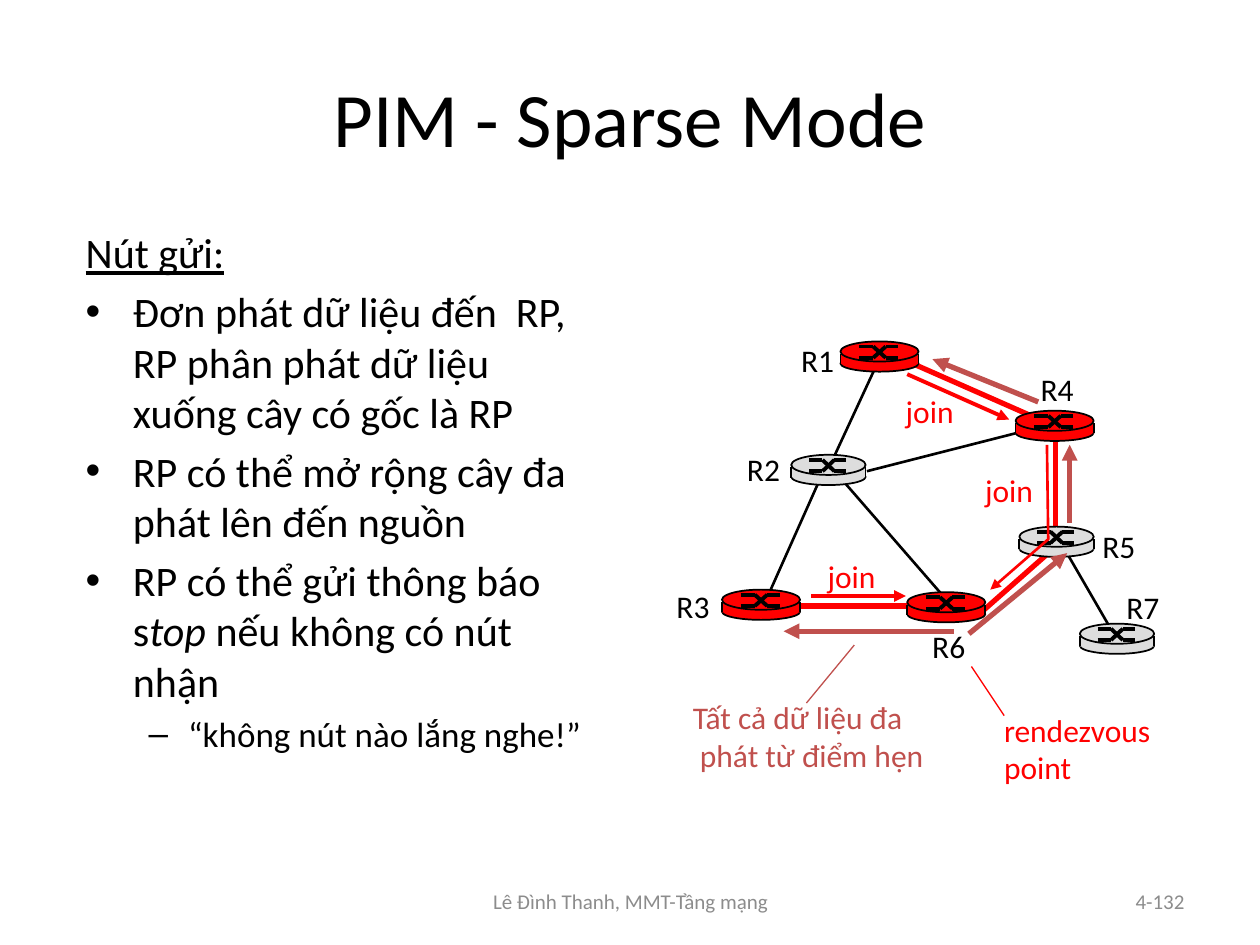
"""Build a slide on PIM Sparse Mode with a router network diagram."""
from dataclasses import dataclass

from lxml.etree import SubElement
from pptx import Presentation
from pptx.dml.color import RGBColor
from pptx.enum.shapes import MSO_CONNECTOR as Connector, MSO_SHAPE as Preset
from pptx.enum.text import MSO_ANCHOR as Anchor, MSO_AUTO_SIZE as AutoSize, PP_ALIGN as Align
from pptx.oxml.ns import qn
from pptx.util import Inches, Pt


@dataclass(frozen=True)
class Theme:
    font: str = "Calibri"
    black: RGBColor = RGBColor(0, 0, 0)
    red: RGBColor = RGBColor(0xFF, 0, 0)
    brick: RGBColor = RGBColor(0xC0, 0x50, 0x4D)
    silver: RGBColor = RGBColor(0xDD, 0xDD, 0xDD)
    gray: RGBColor = RGBColor(0x8C, 0x8C, 0x8C)
    title: Pt = Pt(44)
    body: Pt = Pt(24)
    detail: Pt = Pt(20)
    label: Pt = Pt(18)
    footer: Pt = Pt(12)


theme = Theme()


def format_text(text_frame, size, color):
    for paragraph in text_frame.paragraphs:
        for run in paragraph.runs:
            run.font.name = theme.font
            run.font.size = size
            run.font.color.rgb = color


def draw_line(shapes, points, color, width, arrow=False):
    corners = [(Inches(x), Inches(y)) for x, y in points]
    if len(corners) == 2:
        line = shapes.add_connector(Connector.STRAIGHT, *corners[0], *corners[1])
    else:
        builder = shapes.build_freeform(*corners[0])
        builder.add_line_segments(corners[1:], close=False)
        line = builder.convert_to_shape()
        line.fill.background()
    line.line.color.rgb = color
    line.line.width = Pt(width)
    properties = line.element.spPr
    if arrow:
        SubElement(properties.find(qn("a:ln")), qn("a:tailEnd"), type="triangle")
    SubElement(properties, qn("a:effectLst"))


presentation = Presentation()
presentation.slide_width = Inches(10)
presentation.slide_height = Inches(7.5)
slide = presentation.slides.add_slide(presentation.slide_layouts[1])

title = slide.shapes.title
title.left, title.top, title.width, title.height = map(Inches, (0.5, 0.3, 9, 1.25))
title.text_frame.text = "PIM - Sparse Mode"
format_text(title.text_frame, theme.title, theme.black)

body = slide.placeholders[1]
body.left, body.top, body.width, body.height = map(Inches, (0.58, 1.75, 4.17, 5.08))
body.text_frame.text = "\n".join([
    "Nút gửi:",
    "Đơn phát dữ liệu đến  RP, RP phân phát dữ liệu xuống cây có gốc là RP",
    "RP có thể mở rộng cây đa phát lên đến nguồn",
    "RP có thể gửi thông báo s",
    "“không nút nào lắng nghe!”",
])
body.text_frame.auto_size = AutoSize.NONE
heading, *_, stop_item, detail = body.text_frame.paragraphs
SubElement(heading.element.get_or_add_pPr() if hasattr(heading, "element") else heading._p.get_or_add_pPr(), qn("a:buNone"))
heading.space_before = Pt(0)
emphasis = stop_item.add_run()
emphasis.text = "top"
stop_item.add_run().text = " nếu không có nút nhận"
detail.level = 1
format_text(body.text_frame, theme.body, theme.black)
heading.runs[0].font.underline = True
emphasis.font.italic = True
detail.runs[0].font.size = theme.detail

links = [
    ((8.41, 4.29), (8.85, 5.05), theme.black, 1.5),
    ((6.88, 3.74), (8.37, 3.36), theme.black, 1.5),
    ((6.59, 3.7), (7.52, 4.77), theme.black, 1.5),
    ((7.23, 2.88), (8.32, 3.36), theme.red, 3),
    ((7.81, 4.84), (8.4, 4.32), theme.red, 3),
    ((8.38, 3.47), (8.38, 4.26), theme.red, 3),
    ((6.23, 4.81), (7.36, 4.81), theme.red, 3),
    ((6.5, 3.82), (6.09, 4.74), theme.black, 1.5),
    ((6.96, 2.89), (6.58, 3.71), theme.black, 1.5),
]
for start, end, color, width in links:
    draw_line(slide.shapes, (start, end), color, width)

routers = [
    (7.2, 4.7, 0.62, theme.red),
    (8.06, 3.26, 0.62, theme.red),
    (5.73, 4.68, 0.62, theme.red),
    (8.09, 4.18, 0.59, theme.silver),
    (6.28, 3.61, 0.59, theme.silver),
    (6.67, 2.71, 0.62, theme.red),
    (8.57, 4.95, 0.59, theme.silver),
]
for left, top, width, color in routers:
    shapes = slide.shapes.add_group_shape().shapes
    parts = [(Preset.OVAL, 0.11, 0.13), (Preset.RECTANGLE, 0.1, 0.08), (Preset.OVAL, 0, 0.16)]
    for preset, offset, height in parts:
        part = shapes.add_shape(preset, Inches(left), Inches(top + offset), Inches(width), Inches(height))
        part.shadow.inherit = False
        part.fill.solid()
        part.fill.fore_color.rgb = color
        if preset == Preset.OVAL:
            part.line.color.rgb = theme.black
            part.line.width = Pt(1)
        else:
            part.line.fill.background()
            for side in (left, left + width):
                draw_line(shapes, ((side, top + 0.1), (side, top + 0.18)), theme.black, 1)
    columns = [left + width * share for share in (0.24, 0.42, 0.58, 0.74)]
    upper, lower = top + 0.04, top + 0.13
    for first, last in ((upper, lower), (lower, upper)):
        strokes = list(zip(columns, (first, first, last, last)))
        for stroke in zip(strokes, strokes[1:]):
            draw_line(shapes, stroke, theme.black, 2.25)

arrows = [
    ([(8.31, 3.53), (8.32, 4.28), (7.86, 4.68)], theme.red, 1.5),
    ([(6.44, 4.73), (7.19, 4.73)], theme.red, 2.25),
    ([(7.2, 2.97), (8.01, 3.33)], theme.red, 2.25),
    ([(7.57, 5.01), (6.22, 5.01)], theme.brick, 3),
    ([(7.69, 5.03), (8.47, 4.39)], theme.brick, 3),
    ([(8.49, 4.15), (8.49, 3.53)], theme.brick, 3),
    ([(8.24, 3.19), (7.4, 2.85)], theme.brick, 3),
]
for points, color, width in arrows:
    draw_line(slide.shapes, points, color, width, arrow=True)

draw_line(slide.shapes, ((6.4, 5.58), (6.78, 5.12)), theme.brick, 0.75)
draw_line(slide.shapes, ((7.71, 5.29), (7.97, 5.68)), theme.red, 0.75)

labels = [
    ("R1", 6.26, 2.66, 0.47, 0.4, theme.black),
    ("R2", 5.83, 3.52, 0.51, 0.4, theme.black),
    ("R3", 5.27, 4.61, 0.51, 0.4, theme.black),
    ("R4", 8.16, 2.89, 0.51, 0.4, theme.black),
    ("R5", 8.65, 4.13, 0.51, 0.4, theme.black),
    ("R6", 7.3, 4.93, 0.51, 0.4, theme.black),
    ("R7", 8.84, 4.62, 0.51, 0.4, theme.black),
    ("join", 7.72, 3.69, 0.63, 0.4, theme.red),
    ("join", 7.09, 3.06, 0.63, 0.4, theme.red),
    ("join", 6.47, 4.37, 0.63, 0.4, theme.red),
    ("Tất cả dữ liệu đa\n phát từ điểm hẹn", 5.4, 5.49, 2.21, 0.71, theme.brick),
    ("rendezvous\npoint", 7.87, 5.59, 1.51, 0.7, theme.red),
]
for text, left, top, width, height, color in labels:
    label = slide.shapes.add_textbox(*map(Inches, (left, top, width, height)))
    label.text_frame.text = text
    label.text_frame.word_wrap = False
    label.text_frame.auto_size = AutoSize.SHAPE_TO_FIT_TEXT
    format_text(label.text_frame, theme.label, color)

footers = [
    ("4-132", 7.17, 2.33, Align.RIGHT),
    ("Lê Đình Thanh, MMT-Tầng mạng", 3.42, 3.17, Align.CENTER),
]
for text, left, width, alignment in footers:
    footer = slide.shapes.add_textbox(Inches(left), Inches(6.95), Inches(width), Inches(0.4))
    footer.text_frame.text = text
    footer.text_frame.word_wrap = True
    footer.text_frame.vertical_anchor = Anchor.MIDDLE
    footer.text_frame.paragraphs[0].alignment = alignment
    format_text(footer.text_frame, theme.footer, theme.gray)

presentation.save("out.pptx")
